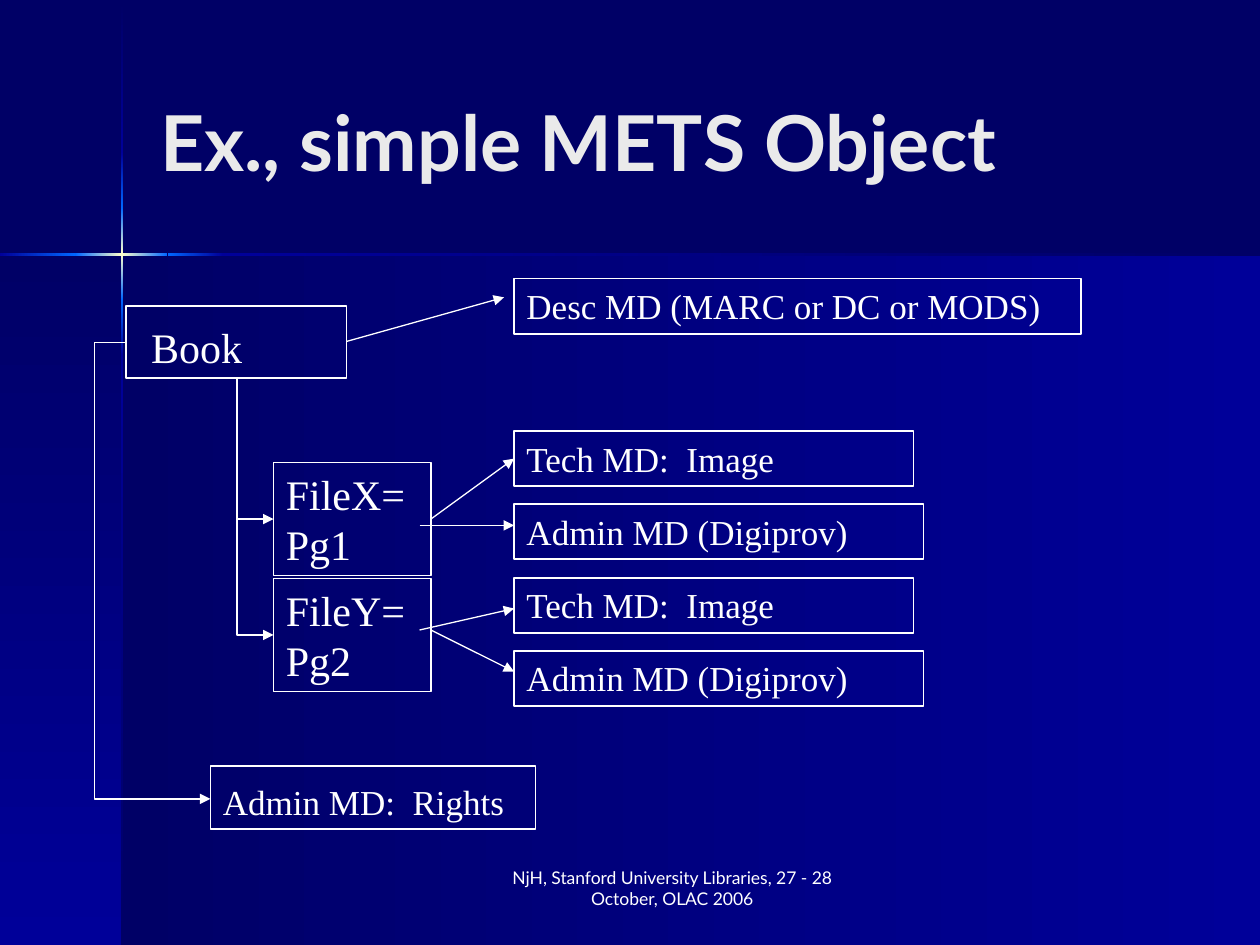
from lxml import etree
from pptx import Presentation
from pptx import util as u
from pptx.dml.color import RGBColor
from pptx.enum import shapes, text
from pptx.oxml import ns

HUES = {"navy": "000066", "blue": "000099", "bright": "0066FF",
        "cream": "FFFFCC", "white": "FFFFFF", "title": "EAEAEA"}
BANDS = [("navy", "blue"), ("blue", "bright"), ("bright", "cream", "bright"),
         ("bright", "blue"), ("blue", "navy")]
SERIF, SANS = "Times New Roman", "Lato"


def hue(name):
    """Return the named colour."""
    return RGBColor.from_string(HUES[name])


def add(node, tag, **attrs):
    """Append a drawing element with the given attributes."""
    return etree.SubElement(node, ns.qn(tag), {k: str(v) for k, v in attrs.items()})


def style(para, size, font, color, bold=False):
    """Set the font of a paragraph."""
    para.font.size, para.font.name, para.font.bold = u.Pt(size), font, bold
    para.font.color.rgb = hue(color)


def blend(slide, box, names, angle):
    """Draw a rectangle with evenly spaced gradient stops."""
    rect = slide.shapes.add_shape(shapes.MSO_SHAPE.RECTANGLE, *map(u.Inches, box))
    rect.shadow.inherit = False
    rect.line.fill.background()
    rect.fill.gradient()
    grad = rect._element.spPr.find(ns.qn("a:gradFill"))
    grad.clear()
    stops = add(grad, "a:gsLst")
    for i, name in enumerate(names):
        stop = add(stops, "a:gs", pos=100000 * i // (len(names) - 1))
        add(stop, "a:srgbClr", val=HUES[name])
    add(grad, "a:lin", ang=angle * 60000, scaled=0)


def backdrop(slide, box):
    """Draw the two panels and the glowing cross between them."""
    left, top, width, height = box
    x, y, thick = left + 0.97, top + 2.02, 0.02
    slide.background.fill.solid()
    slide.background.fill.fore_color.rgb = hue("navy")
    blend(slide, (x, y, width - x, height - y), ("navy", "blue"), 0)
    blend(slide, (left, y, x - left, height - y), ("navy", "blue"), 90)
    rows = [top + 0.01, 1.21, 1.65, 2.38, 2.82, top + height]
    cols = [left, 0.6, 1.33, 1.77, left + width]
    for a, b, names in zip(rows, rows[1:], BANDS):
        blend(slide, (x - thick / 2, a, thick, b - a), names, 90)
    for a, b, names in zip(cols, cols[1:], BANDS[1:]):
        blend(slide, (a, y - thick / 2, b - a, thick), names, 0)


def heading(slide, box, words):
    """Place and format the title."""
    title = slide.shapes.title
    title.left, title.top, title.width, title.height = map(u.Inches, box)
    frame = title.text_frame
    frame.text, frame.word_wrap = words, True
    frame.auto_size = text.MSO_AUTO_SIZE.NONE
    frame.vertical_anchor = text.MSO_ANCHOR.MIDDLE
    frame.paragraphs[0].alignment = text.PP_ALIGN.LEFT
    style(frame.paragraphs[0], 44, SANS, "title", True)


def node(slide, box, words, size=20, edge=1, low=False, inset=0.1):
    """Draw an outlined box with its label."""
    rect = slide.shapes.add_shape(shapes.MSO_SHAPE.RECTANGLE, *map(u.Inches, box))
    rect.shadow.inherit = False
    rect.fill.background()
    rect.line.color.rgb = hue("white")
    rect.line.width = u.Pt(edge)
    frame = rect.text_frame
    frame.text, frame.word_wrap = words, True
    frame.margin_left = u.Inches(inset)
    frame.vertical_anchor = text.MSO_ANCHOR.BOTTOM if low else text.MSO_ANCHOR.TOP
    frame.paragraphs[0].alignment = text.PP_ALIGN.LEFT
    style(frame.paragraphs[0], size, SERIF, "white")


def arrow(slide, start, end, bend=None):
    """Draw an arrow, straight or with its upright part at x = bend."""
    kind = shapes.MSO_CONNECTOR.STRAIGHT if bend is None else shapes.MSO_CONNECTOR.ELBOW
    link = slide.shapes.add_connector(kind, *map(u.Inches, start + end))
    link.line.color.rgb = hue("white")
    link.line.width = u.Pt(0.75)
    add(link.line._get_or_add_ln(), "a:tailEnd", type="triangle")
    props = link._element.spPr
    add(props, "a:effectLst")
    if bend is not None:
        geom = props.find(ns.qn("a:prstGeom"))
        ratio = round((bend - start[0]) / (end[0] - start[0]) * 100000)
        geom.clear()
        geom.set("prst", "bentConnector3")
        add(add(geom, "a:avLst"), "a:gd", name="adj1", fmla=f"val {ratio}")


def diagram(slide, box):
    """Draw the book, its files and their metadata."""
    left, top = box[:2]
    side = left + 3.33
    node(slide, (left + 0.25, top + 0.22, 1.75, 0.57), "Book", 24, low=True, inset=0.2)
    node(slide, (side, top, 4.5, 0.44), "Desc MD (MARC or DC or MODS)")
    for i, words in enumerate(("FileX=Pg1", "FileY=Pg2")):
        y = top + 1.46 + 0.92 * i
        node(slide, (left + 1.42, y, 1.25, 0.9), words, 24, 0.75)
        arrow(slide, (left + 1.13, top + 0.8), (left + 1.42, y + 0.45), left + 1.13)
        y = top + 1.21 + 1.165 * i
        node(slide, (side, y, 3.17, 0.44), "Tech MD:  Image")
        node(slide, (side, y + 0.58, 3.25, 0.44), "Admin MD (Digiprov)")
    for x, y, tip in ((2.67, 1.91, 1.43), (2.58, 1.96, 1.96),
                      (2.58, 2.79, 2.62), (2.67, 2.79, 3.12)):
        arrow(slide, (left + x, top + y), (side, top + tip))
    arrow(slide, (left + 2, top + 0.5), (left + 3.25, top + 0.15))
    node(slide, (left + 0.92, top + 3.87, 2.58, 0.5), "Admin MD:  Rights", low=True)
    arrow(slide, (left + 0.25, top + 0.51), (left + 0.92, top + 4.13), left)


def footer(slide, box, words):
    """Add the centred footer."""
    frame = slide.shapes.add_textbox(*map(u.Inches, box)).text_frame
    frame.text, frame.word_wrap = words, True
    frame.paragraphs[0].alignment = text.PP_ALIGN.CENTER
    style(frame.paragraphs[0], 10, SANS, "white")


def main():
    """Build and save the slide."""
    deck = Presentation()
    deck.slide_width, deck.slide_height = u.Inches(10), u.Inches(7.5)
    slide = deck.slides.add_slide(deck.slide_layouts[5])
    backdrop(slide, (0, 0, 10, 7.5))
    heading(slide, (1.17, 0.33, 8.25, 1.57), "Ex., simple METS Object")
    diagram(slide, (0.75, 2.21, 7.83, 4.37))
    footer(slide, (3.75, 6.83, 3.17, 0.5),
           "NjH, Stanford University Libraries, 27 - 28 October, OLAC 2006")
    deck.save("out.pptx")


if __name__ == "__main__":
    main()
